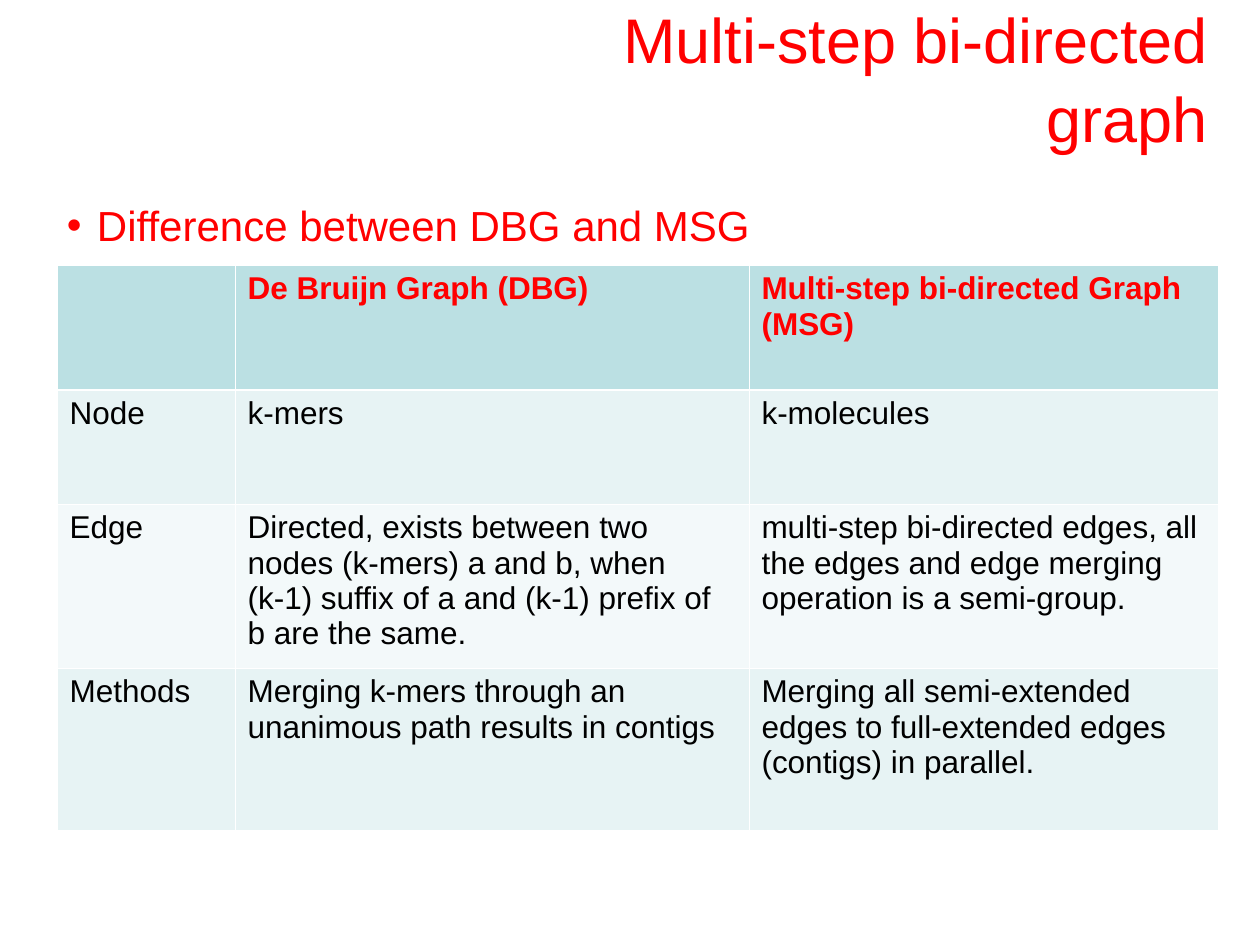
from lxml.etree import SubElement
from pptx import Presentation
from pptx.dml.color import RGBColor
from pptx.enum.text import MSO_ANCHOR as Anchor, PP_ALIGN as Align
from pptx.oxml.ns import qn
from pptx.util import Emu, Pt

TITLE = "Multi-step bi-directed graph"
BULLET = "Difference between DBG and MSG"
ROWS = [
    ("", "De Bruijn Graph (DBG)", "Multi-step bi-directed Graph (MSG)"),
    ("Node", "k-mers", "k-molecules"),
    ("Edge",
     "Directed, exists between two nodes (k-mers) a and b, when (k-1) suffix of a "
     "and (k-1) prefix of b are the same.",
     "multi-step bi-directed edges, all the edges and edge merging operation is a semi-group."),
    ("Methods",
     "Merging k-mers through an unanimous path results in contigs",
     "Merging all semi-extended edges to full-extended edges (contigs) in parallel."),
]
COLUMN_WIDTHS = (178, 514, 469)
ROW_HEIGHTS = (125, 114, 164, 162)
HEADER_FILL, BAND_FILLS = "BBE0E3", ("E7F3F4", "F3F9FA")
RED, BLACK, WHITE = "FF0000", "000000", "FFFFFF"
THIN, THICK = 0.45, 1.47


def px(length):
    return Emu(round(length * 914400 / 126))


def rgb(value):
    return RGBColor.from_string(value)


def set_font(paragraph, size, color, bold=False):
    formats = {"name": "Arial", "size": Pt(size), "bold": bold}
    for name, value in formats.items():
        setattr(paragraph.font, name, value)
    paragraph.font.color.rgb = rgb(color)


def add_text(slide, text, box, margins, anchor):
    """Add a wrapped text box and return its paragraph."""
    frame = slide.shapes.add_textbox(*map(px, box)).text_frame
    frame.word_wrap = True
    frame.vertical_anchor = anchor
    for side, margin in zip(("left", "top", "right", "bottom"), margins):
        setattr(frame, f"margin_{side}", px(margin))
    paragraph = frame.paragraphs[0]
    paragraph.text = text
    return paragraph


def add_bullet(paragraph, indent, color):
    properties = paragraph._p.get_or_add_pPr()
    properties.set("marL", str(px(indent)))
    properties.set("indent", str(-px(indent)))
    bullet_color = SubElement(properties, qn("a:buClr"))
    SubElement(bullet_color, qn("a:srgbClr"), val=color)
    SubElement(properties, qn("a:buFont"), typeface="Arial")
    SubElement(properties, qn("a:buChar"), char="•")


def set_borders(cell, widths):
    """Draw white borders before the fill is set, as the schema orders them."""
    properties = cell._tc.get_or_add_tcPr()
    for side, width in widths.items():
        line = SubElement(properties, qn(f"a:ln{side}"), w=str(Pt(width)))
        fill = SubElement(line, qn("a:solidFill"))
        SubElement(fill, qn("a:srgbClr"), val=WHITE)


def add_comparison_table(slide):
    size = sum(COLUMN_WIDTHS), sum(ROW_HEIGHTS)
    table = slide.shapes.add_table(
        len(ROWS), len(COLUMN_WIDTHS), *map(px, (57, 265, *size))).table
    for column, width in zip(table.columns, COLUMN_WIDTHS):
        column.width = px(width)
    for row, height in zip(table.rows, ROW_HEIGHTS):
        row.height = px(height)
    for row_index, texts in enumerate(ROWS):
        header = row_index == 0
        fill = HEADER_FILL if header else BAND_FILLS[(row_index - 1) % 2]
        borders = {"L": THIN, "R": THIN,
                   "T": THICK if row_index == 1 else THIN,
                   "B": THICK if header else THIN}
        for column_index, text in enumerate(texts):
            cell = table.cell(row_index, column_index)
            set_borders(cell, borders)
            cell.fill.solid()
            cell.fill.fore_color.rgb = rgb(fill)
            cell.text = text
            set_font(cell.text_frame.paragraphs[0], 18, RED if header else BLACK, header)


def main():
    presentation = Presentation()
    presentation.slide_width, presentation.slide_height = px(1260), px(945)
    slide = presentation.slides.add_slide(presentation.slide_layouts[6])

    title = add_text(slide, TITLE, (591, 26, 630, 100), (13, 6, 13, 6), Anchor.MIDDLE)
    title.alignment = Align.RIGHT
    title.line_spacing = 1.05
    set_font(title, 36, RED)

    add_comparison_table(slide)

    bullet = add_text(slide, BULLET, (54, 189, 1135, 76), (13, 11, 13, 6), Anchor.TOP)
    add_bullet(bullet, 30, RED)
    set_font(bullet, 24, RED)

    presentation.save("out.pptx")


if __name__ == "__main__":
    main()
